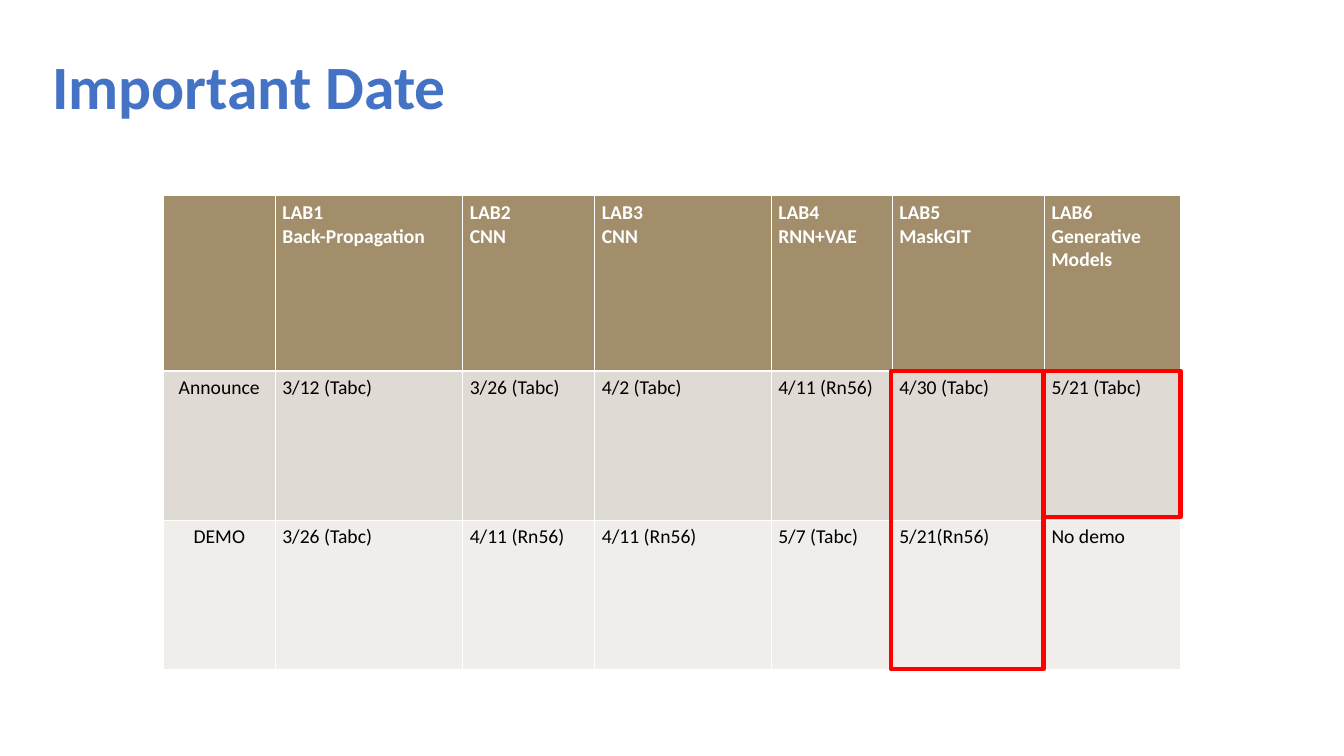
import pptx
import pptx.chart.data
import pptx.dml.color
import pptx.enum.shapes
import pptx.enum.text
import pptx.oxml
import pptx.oxml.ns
import pptx.util
from pptx.util import Inches

FONT = "Calibri"
COLUMN_WIDTHS = [1.11, 1.86, 1.31, 1.75, 1.2, 1.51, 1.35]
ROW_HEIGHTS = [1.74, 1.48, 1.48]
ROW_FILLS = ["A28E6A", "DFDAD3", "F0EDEA"]
SCHEDULE = [
    ["", "LAB1\nBack-Propagation", "LAB2\nCNN", "LAB3\nCNN",
     "LAB4\nRNN+VAE", "LAB5\nMaskGIT", "LAB6\nGenerative\nModels"],
    ["Announce", "3/12 (Tabc)", "3/26 (Tabc)", "4/2 (Tabc)",
     "4/11 (Rn56)", "4/30 (Tabc)", "5/21 (Tabc)"],
    ["DEMO", "3/26 (Tabc)", "4/11 (Rn56)", "4/11 (Rn56)",
     "5/7 (Tabc)", "5/21(Rn56)", "No demo"],
]


def color(value):
    return pptx.dml.color.RGBColor.from_string(value)


def add_run(paragraph, text, size, text_color, bold):
    run = paragraph.add_run()
    run.text = text
    run.font.name = FONT
    run.font.size = pptx.util.Pt(size)
    run.font.bold = bold
    run.font.color.rgb = color(text_color)


def add_title(slide, text):
    box = slide.shapes.add_textbox(Inches(0.42), Inches(0.16), Inches(11.5), Inches(1.45))
    frame = box.text_frame
    frame.word_wrap = True
    frame.vertical_anchor = pptx.enum.text.MSO_ANCHOR.MIDDLE
    paragraph = frame.paragraphs[0]
    paragraph.line_spacing = 0.9
    add_run(paragraph, text, 44, "4472C4", True)


def set_borders(cell, line_color, points):
    properties = cell._tc.get_or_add_tcPr()
    for side in ("lnL", "lnR", "lnT", "lnB"):
        properties.append(pptx.oxml.parse_xml(
            f'<a:{side} {pptx.oxml.ns.nsdecls("a")} w="{pptx.util.Pt(points)}">'
            f'<a:solidFill><a:srgbClr val="{line_color}"/></a:solidFill></a:{side}>'))


def fill_cell(cell, text, fill, text_color, bold, alignment):
    set_borders(cell, "FFFFFF", 0.96)
    cell.fill.solid()
    cell.fill.fore_color.rgb = color(fill)
    cell.margin_left = cell.margin_right = Inches(0.07)
    cell.margin_top = cell.margin_bottom = Inches(0.05)
    if not text:
        return
    frame = cell.text_frame
    for index, line in enumerate(text.split("\n")):
        paragraph = frame.add_paragraph() if index else frame.paragraphs[0]
        paragraph.alignment = alignment
        add_run(paragraph, line, 14, text_color, bold)


def add_schedule(slide, left, top):
    table = slide.shapes.add_table(
        len(ROW_HEIGHTS), len(COLUMN_WIDTHS), Inches(left), Inches(top),
        Inches(sum(COLUMN_WIDTHS)), Inches(sum(ROW_HEIGHTS))).table
    for column, width in zip(table.columns, COLUMN_WIDTHS):
        column.width = Inches(width)
    for row, height in zip(table.rows, ROW_HEIGHTS):
        row.height = Inches(height)
    align = pptx.enum.text.PP_ALIGN
    for row_index, texts in enumerate(SCHEDULE):
        header = row_index == 0
        for column_index, text in enumerate(texts):
            fill_cell(table.cell(row_index, column_index), text, ROW_FILLS[row_index],
                      "FFFFFF" if header else "000000", header,
                      align.LEFT if header or column_index else align.CENTER)


def add_highlight(slide, left, top, width, height):
    shape = slide.shapes.add_shape(
        pptx.enum.shapes.MSO_SHAPE.RECTANGLE,
        Inches(left), Inches(top), Inches(width), Inches(height))
    shape.shadow.inherit = False
    shape.fill.background()
    shape.line.color.rgb = color("FF0000")
    shape.line.width = pptx.util.Pt(3)


def main():
    presentation = pptx.Presentation()
    presentation.slide_width = Inches(13.33)
    presentation.slide_height = Inches(7.5)
    slide = presentation.slides.add_slide(presentation.slide_layouts[6])
    add_title(slide, "Important Date")
    add_schedule(slide, 1.62, 1.94)
    add_highlight(slide, 8.84, 3.68, 1.51, 2.96)
    add_highlight(slide, 10.35, 3.68, 1.36, 1.45)
    presentation.save("out.pptx")


if __name__ == "__main__":
    main()
